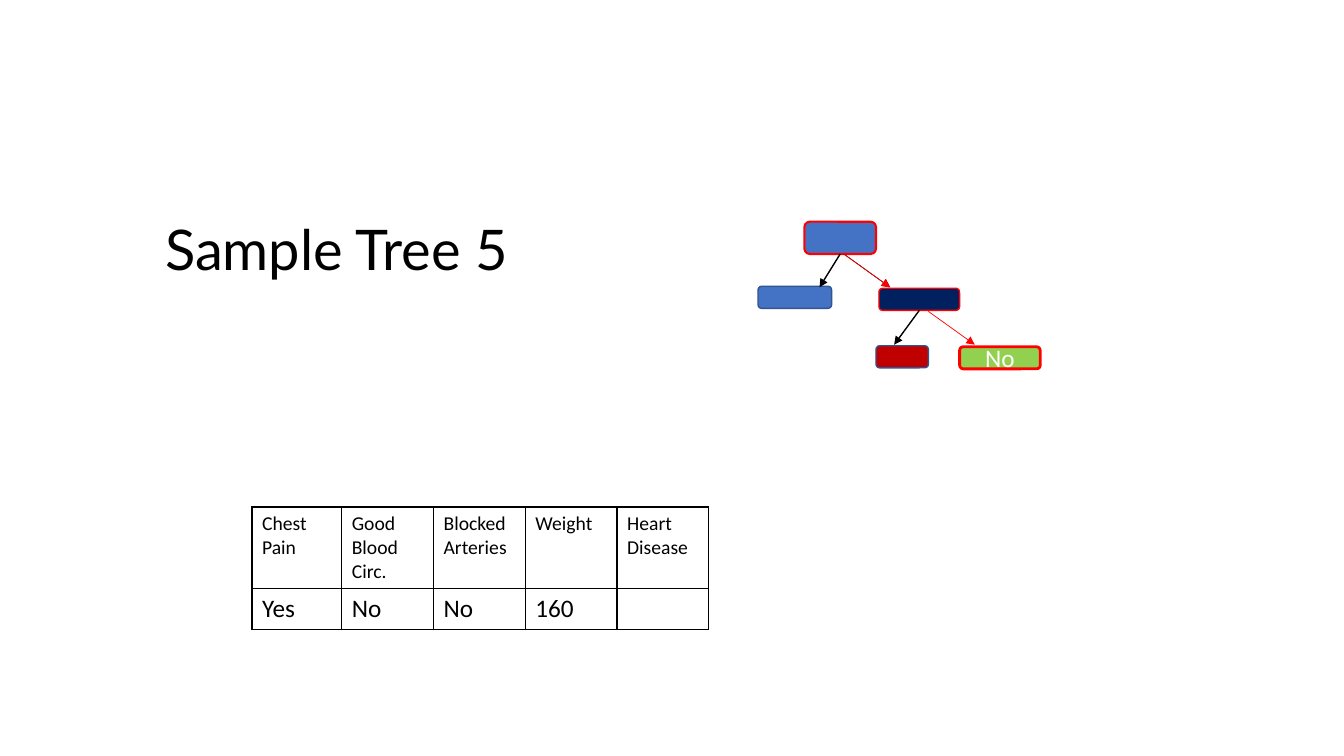
"""Build the Sample Tree 5 slide: a title, a decision tree and a patient record table."""
import pptx
import pptx.dml.color
import pptx.enum.shapes
import pptx.enum.text
import pptx.oxml
import pptx.oxml.ns
import pptx.util

THEME = {
    "ink": "000000", "paper": "FFFFFF", "path": "FF0000", "outline": "325491",
    "node": "4472C4", "split": "002060", "yes": "C00000", "no": "92D050",
    "title": {"name": "Lato", "size": pptx.util.Pt(40), "bold": False},
    "header": {"name": "Calibri", "size": pptx.util.Pt(14), "bold": False},
    "body": {"name": "Calibri", "size": pptx.util.Pt(18), "bold": False},
}

deck = pptx.Presentation()
deck.slide_width = pptx.util.Inches(13.33)
deck.slide_height = pptx.util.Inches(7.5)
COLUMN, ROW = deck.slide_width / 100, deck.slide_height / 100
slide = deck.slides.add_slide(deck.slide_layouts[6])


def grid(*lengths):
    """Turn alternating column and row counts into slide lengths."""
    return [round(n * (ROW if i % 2 else COLUMN)) for i, n in enumerate(lengths)]


def write(frame, text, style, color):
    """Put text in a frame and format each paragraph."""
    frame.text = text
    for paragraph in frame.paragraphs:
        for key, value in THEME[style].items():
            setattr(paragraph.font, key, value)
        paragraph.font.color.rgb = pptx.dml.color.RGBColor.from_string(THEME[color])


record = [
    ["Chest Pain", "Good\nBlood\nCirc.", "Blocked\nArteries", "Weight", "Heart\nDisease"],
    ["Yes", "No", "No", "160", ""],
]
patient = slide.shapes.add_table(2, 5, *grid(18.75, 67.07, 34, 16)).table
patient.first_row = patient.horz_banding = False
for field, width in zip(patient.columns, [6.68] + [6.83] * 4):
    field.width = round(width * COLUMN)
for line, height in zip(patient.rows, [10.67, 5.33]):
    line.height = round(height * ROW)
for r, (style, values) in enumerate(zip(["header", "body"], record)):
    for c, value in enumerate(values):
        cell = patient.cell(r, c)
        write(cell.text_frame, value, style, "ink")
        cell.fill.background()
        for i, side in enumerate(["lnL", "lnR", "lnT", "lnB"]):
            cell._tc.get_or_add_tcPr().insert(i, pptx.oxml.parse_xml(
                f'<a:{side} {pptx.oxml.ns.nsdecls("a")} w="12700"><a:solidFill>'
                f'<a:srgbClr val="{THEME["ink"]}"/></a:solidFill></a:{side}>'))

nodes = {
    "root": (59.85, 29.33, 5.33, 4.27, "node", "path", 1.5, ""),
    "left leaf": (56.4, 37.87, 5.48, 2.93, "node", "outline", 1, ""),
    "split": (65.4, 38.13, 6, 2.93, "split", "path", 1, ""),
    "no leaf": (71.4, 45.87, 6, 2.93, "no", "path", 2, "No"),
    "yes leaf": (65.18, 45.73, 3.9, 2.93, "yes", "outline", 1, ""),
}
tree = {}
for name, (x, y, w, h, fill, edge, weight, answer) in nodes.items():
    node = slide.shapes.add_shape(
        pptx.enum.shapes.MSO_SHAPE.ROUNDED_RECTANGLE, *grid(x, y, w, h))
    node.shadow.inherit = False
    node.fill.solid()
    node.fill.fore_color.rgb = pptx.dml.color.RGBColor.from_string(THEME[fill])
    node.line.color.rgb = pptx.dml.color.RGBColor.from_string(THEME[edge])
    node.line.width = pptx.util.Pt(weight)
    if answer:
        write(node.text_frame, answer, "body", "paper")
        node.text_frame.vertical_anchor = pptx.enum.text.MSO_ANCHOR.MIDDLE
        node.text_frame.paragraphs[0].alignment = pptx.enum.text.PP_ALIGN.CENTER
    tree[name] = node

branches = [
    (62.78, 33.6, 66.23, 38, "ink", 0.5, None),
    (62.63, 33.73, 60.98, 38, "ink", 1, "root"),
    (62.78, 33.6, 66.23, 38, "path", 0.5, None),
    (69.08, 41.2, 72.53, 45.6, "path", 0.5, None),
    (68.18, 41.33, 66.53, 45.6, "ink", 1, "split"),
]
for x1, y1, x2, y2, color, weight, parent in branches:
    branch = slide.shapes.add_connector(
        pptx.enum.shapes.MSO_CONNECTOR.STRAIGHT, *grid(x1, y1, x2, y2))
    if parent:
        branch.begin_connect(tree[parent], 2)
    branch.line.color.rgb = pptx.dml.color.RGBColor.from_string(THEME[color])
    branch.line.width = pptx.util.Pt(weight)
    branch.line._get_or_add_ln().append(pptx.oxml.parse_xml(
        f'<a:tailEnd {pptx.oxml.ns.nsdecls("a")} type="triangle"/>'))
    branch._element.spPr.append(pptx.oxml.parse_xml(
        f'<a:effectLst {pptx.oxml.ns.nsdecls("a")}/>'))

title = slide.shapes.add_textbox(*grid(11.55, 27.73, 32.03, 10.27))
title.text_frame.word_wrap = True
title.text_frame.auto_size = pptx.enum.text.MSO_AUTO_SIZE.SHAPE_TO_FIT_TEXT
write(title.text_frame, "Sample Tree 5", "title", "ink")

deck.save("out.pptx")
